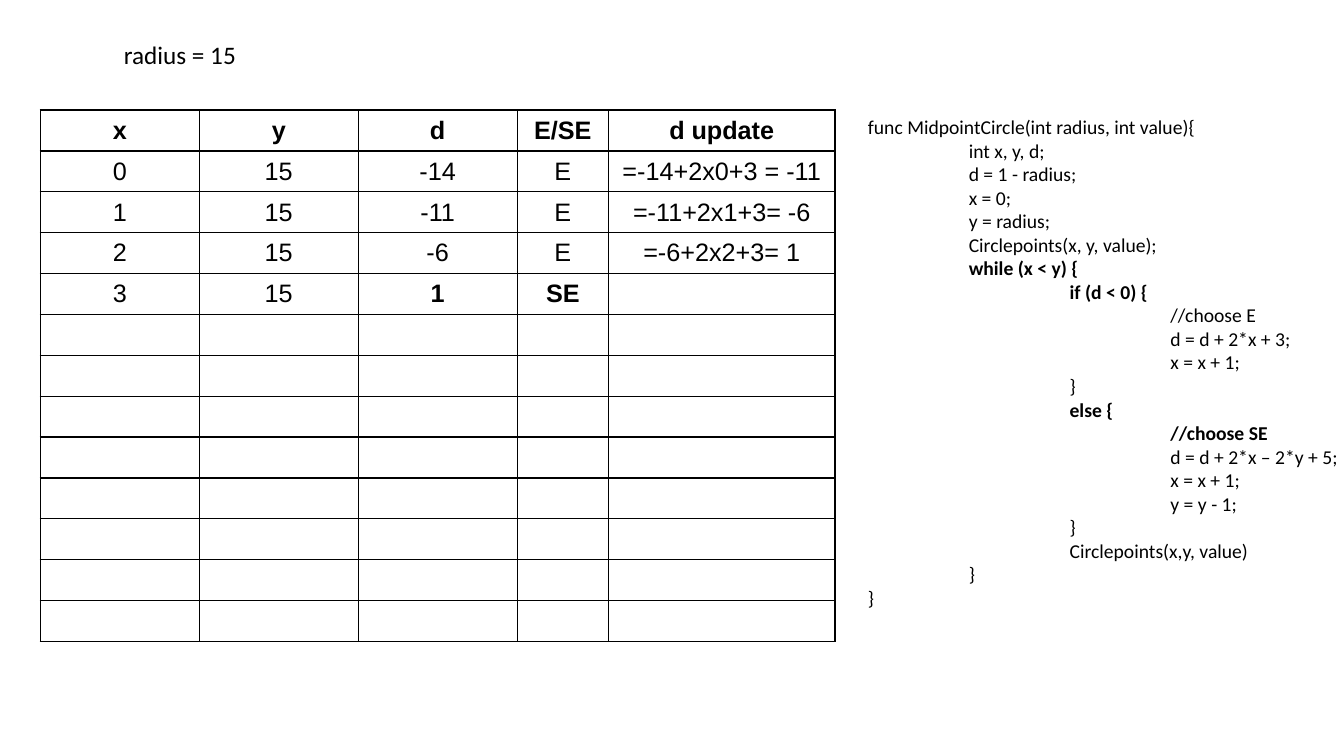
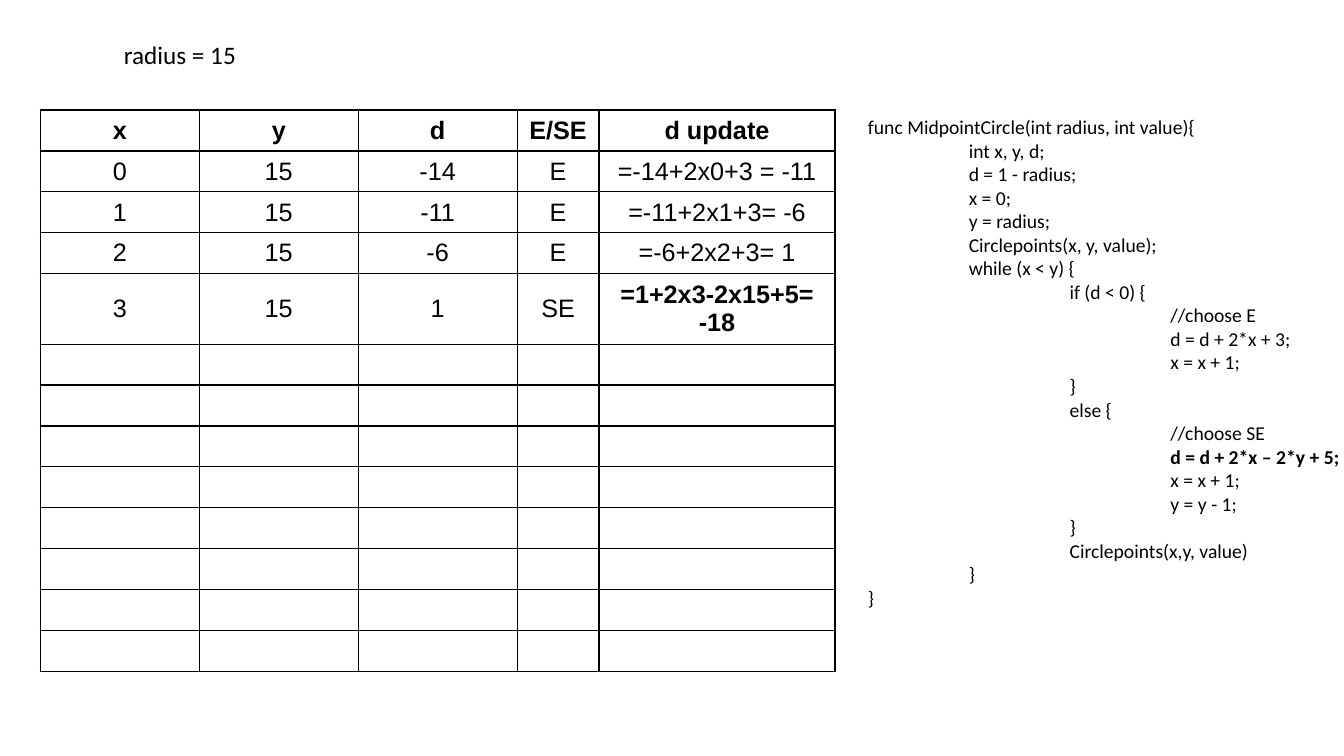
import pptx
import pptx.util
import pptx.dml.color
import pptx.enum.text
import pptx.oxml.ns
import lxml.etree

INK = {"text": "000000", "line": "000000"}
WIDE, HIGH = pptx.util.Inches(13.33), pptx.util.Inches(7.5)
LABEL = (8.48, 4.53, 9.98, 5.33)
GRID = (3, 14.56, 59.14, 70.32)
CODE = (63.84, 14.56, 38.41, 70.4)
ROWS = 13
DEPTH = 3
TAB = pptx.util.Inches(1)

HEAD = ["x", "y", "d", "E/SE", "d update"]
STEPS = [
    ["0", "15", "-14", "E", "=-14+2x0+3 = -11"],
    ["1", "15", "-11", "E", "=-11+2x1+3= -6"],
    ["2", "15", "-6", "E", "=-6+2x2+3= 1"],
]
LINES = """func MidpointCircle(int radius, int value){
\tint x, y, d;
\td = 1 - radius;
\tx = 0;
\ty = radius;
\tCirclepoints(x, y, value);
\twhile (x < y) {
\t\tif (d < 0) {
\t\t\t//choose E
\t\t\td = d + 2*x + 3;
\t\t\tx = x + 1;
\t\t}
\t\telse {
\t\t\t//choose SE
\t\t\td = d + 2*x – 2*y + 5;
\t\t\tx = x + 1;
\t\t\ty = y - 1;
\t\t}
\t\tCirclepoints(x,y, value)
\t}
}""".split("\n")

SLIDES = [
    {
        "cols": [20, 20, 20, 11.5, 28.5],
        "last": ["3", "15", "1", "SE", ""],
        "cells": {"1", "SE"},
        "code": {"while (x < y) {", "if (d < 0) {", "else {", "//choose SE"},
    },
    {
        "cols": [20, 20, 20, 10.3, 29.7],
        "last": ["3", "15", "1", "SE", "=1+2x3-2x15+5= -18"],
        "cells": {"=1+2x3-2x15+5= -18"},
        "code": {"d = d + 2*x – 2*y + 5;"},
    },
]


def place(box):
    return [round(share * side / 100) for share, side in zip(box, (WIDE, HIGH) * 2)]


def write(para, text, font, size, bold=False):
    run = para.add_run()
    run.text = text
    run.font.name = font
    run.font.size = pptx.util.Pt(size)
    run.font.bold = bold
    run.font.color.rgb = pptx.dml.color.RGBColor.from_string(INK["text"])


def set_tabs(para):
    name = pptx.oxml.ns.qn
    tabs = lxml.etree.SubElement(para._p.get_or_add_pPr(), name("a:tabLst"))
    for num in range(1, DEPTH + 1):
        lxml.etree.SubElement(tabs, name("a:tab"), pos=str(num * TAB), algn="l")


def add_text(slide, box, lines, size, strong=()):
    frame = slide.shapes.add_textbox(*place(box)).text_frame
    frame.word_wrap = True
    frame.auto_size = pptx.enum.text.MSO_AUTO_SIZE.SHAPE_TO_FIT_TEXT
    for num, line in enumerate(lines):
        para = frame.add_paragraph() if num else frame.paragraphs[0]
        if line.startswith("\t"):
            set_tabs(para)
        write(para, line, "Calibri", size, line.strip() in strong)


def edge(cell):
    props = cell._tc.get_or_add_tcPr()
    name = pptx.oxml.ns.qn
    for side in ("a:lnL", "a:lnR", "a:lnT", "a:lnB"):
        line = lxml.etree.SubElement(props, name(side), w=str(pptx.util.Pt(1)))
        fill = lxml.etree.SubElement(line, name("a:solidFill"))
        lxml.etree.SubElement(fill, name("a:srgbClr"), val=INK["line"])


def add_grid(slide, box, cols, rows, strong):
    left, top, width, height = place(box)
    table = slide.shapes.add_table(ROWS, len(cols), left, top, width, height).table
    table.first_row = table.horz_banding = False
    for col, share in zip(table.columns, cols):
        col.width = round(width * share / 100)
    for num, row in enumerate(table.rows):
        row.height = height // ROWS
        texts = rows[num] if num < len(rows) else [""] * len(cols)
        for cell, text in zip(row.cells, texts):
            edge(cell)
            cell.fill.background()
            cell.vertical_anchor = pptx.enum.text.MSO_ANCHOR.MIDDLE
            para = cell.text_frame.paragraphs[0]
            para.alignment = pptx.enum.text.PP_ALIGN.CENTER
            if text:
                bold = num == 0 or (num == len(rows) - 1 and text in strong)
                write(para, text, "Arial", 18, bold)


def add_step(deck, data):
    slide = deck.slides.add_slide(deck.slide_layouts[6])
    add_text(slide, CODE, LINES, 14, data["code"])
    add_grid(slide, GRID, data["cols"], [HEAD, *STEPS, data["last"]], data["cells"])
    add_text(slide, LABEL, ["radius = 15"], 18)


def main():
    deck = pptx.Presentation()
    deck.slide_width, deck.slide_height = WIDE, HIGH
    for data in SLIDES:
        add_step(deck, data)
    deck.save("out.pptx")


if __name__ == "__main__":
    main()
